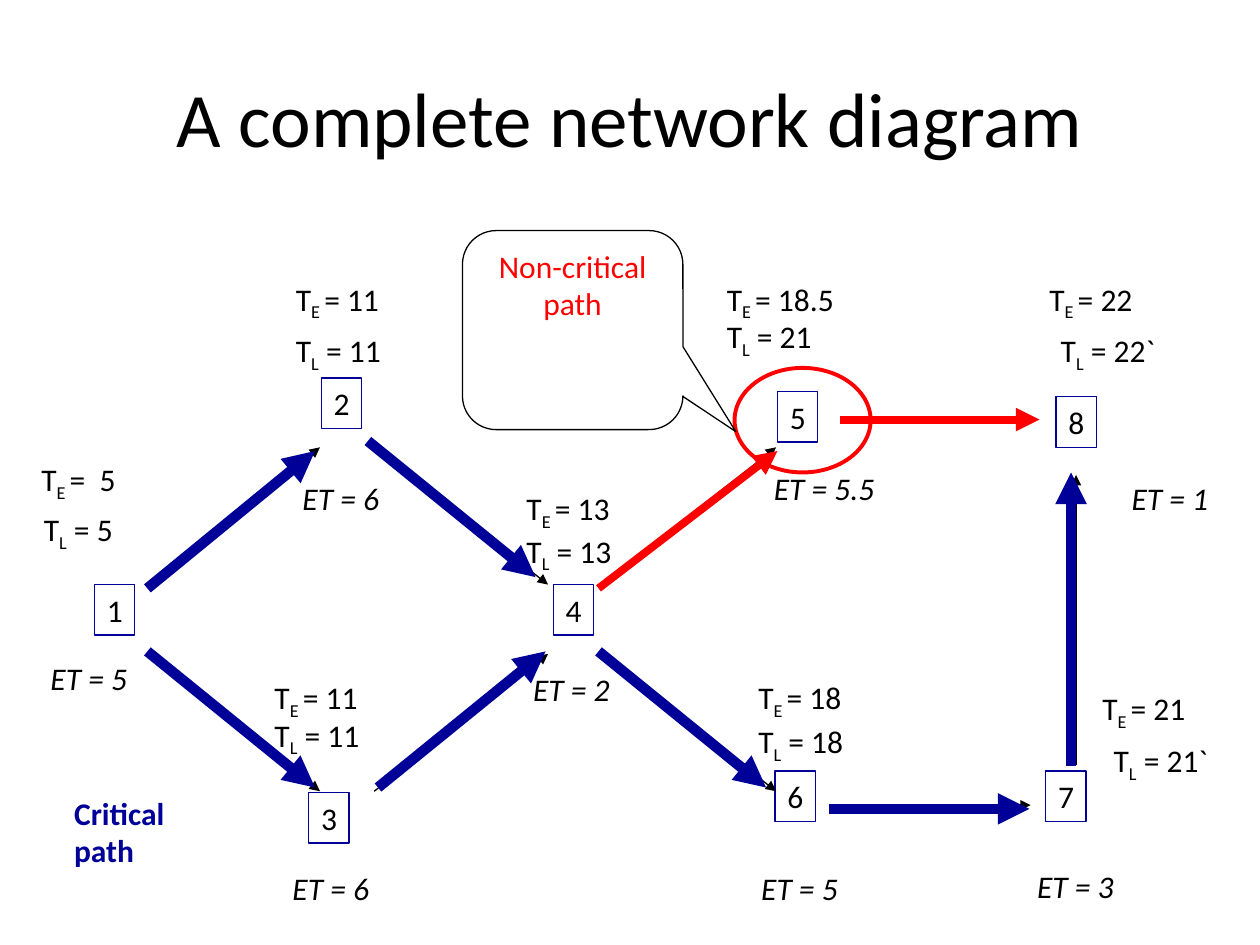
from dataclasses import dataclass

from lxml import etree
from pptx import Presentation
from pptx.dml.color import RGBColor
from pptx.enum import shapes, text
from pptx.oxml.ns import qn
from pptx.util import Inches, Pt

COLORS = {"ink": "000000", "critical": "000099", "other": "FF0000", "paper": "FFFFFF"}
FONT = "Calibri"


@dataclass
class Label:
    value: str
    left: float
    top: float
    width: float
    height: float = 0.44
    wrap: bool = True


@dataclass
class Node:
    number: int
    left: float
    top: float
    effort: Label
    earliest: Label
    latest: Label


@dataclass
class Arrow:
    start: tuple[float, float]
    end: tuple[float, float]


def effort(value: str, left: float, top: float, width: float = 0.81) -> Label:
    return Label(value, left, top, width, 0.4, False)


NODES = [
    Node(1, 0.75, 4.64, effort("5", 0.3, 5.18),
         Label("=  5", 0.23, 3.6, 1.02), Label(" = 5", 0.25, 4, 1)),
    Node(2, 2.55, 3, effort("6", 2.3, 3.75),
         Label("= 11", 2.25, 2.17, 1.35), Label(" = 11", 2.25, 2.58, 1.75)),
    Node(3, 2.45, 6.29, effort("6", 2.22, 6.85),
         Label("= 11", 2.08, 5.33, 1.35), Label(" = 11", 2.08, 5.63, 1.17)),
    Node(4, 4.39, 4.64, effort("2", 4.13, 5.27),
         Label("= 13", 4.08, 3.83, 1.93), Label(" = 13", 4.08, 4.17, 1.33, 0.74)),
    Node(5, 6.17, 3.11, effort("5.5", 6.04, 3.67, 1),
         Label("= 18.5", 5.67, 2.17, 1.35), Label(" = 21", 5.67, 2.47, 1.5)),
    Node(6, 6.15, 6.12, effort("5", 5.94, 6.85),
         Label("= 18", 5.92, 5.33, 1.25), Label(" = 18", 5.92, 5.68, 1.83)),
    Node(7, 8.3, 6.12, effort("3", 8.13, 6.83),
         Label("= 21", 8.65, 5.42, 1.35), Label(" = 21`", 8.74, 5.83, 1.05)),
    Node(8, 8.38, 3.15, effort("1", 8.88, 3.75),
         Label("= 22", 8.23, 2.17, 1.35), Label(" = 22`", 8.32, 2.58, 1.05)),
]

LINKS = [
    Arrow((1.16, 4.64), (2.54, 3.55)), Arrow((1.16, 5.19), (2.54, 6.28)),
    Arrow((2.97, 6.28), (4.35, 5.19)), Arrow((2.97, 3.55), (4.35, 4.64)),
    Arrow((4.77, 4.64), (6.16, 3.55)), Arrow((4.77, 5.19), (6.16, 6.28)),
    Arrow((6.58, 6.39), (8.18, 6.39)), Arrow((6.73, 3.33), (8.23, 3.33)),
    Arrow((8.54, 6.07), (8.54, 3.77)),
]
NON_CRITICAL = [Arrow((4.75, 4.67), (6.17, 3.58)), Arrow((6.67, 3.33), (8.25, 3.33))]
CRITICAL = [
    Arrow((1.17, 4.67), (2.5, 3.58)), Arrow((3, 6.25), (4.33, 5.17)),
    Arrow((1.17, 5.17), (2.5, 6.25)), Arrow((2.92, 3.5), (4.25, 4.58)),
    Arrow((4.75, 5.17), (6.08, 6.25)), Arrow((6.58, 6.42), (8.17, 6.42)),
    Arrow((8.5, 6.08), (8.5, 3.75)),
]


def rgb(name: str) -> RGBColor:
    return RGBColor.from_string(COLORS[name])


def format_text(shape, size: float = 18, color: str = "ink", bold: bool = False,
                italic: bool = False, align=text.PP_ALIGN.LEFT) -> None:
    for para in shape.text_frame.paragraphs:
        para.alignment = align
        for span in para.runs:
            span.font.name = FONT
            span.font.size = Pt(size)
            span.font.bold = bold
            span.font.italic = italic
            span.font.color.rgb = rgb(color)


def fit_frame(shape, wrap: bool) -> None:
    frame = shape.text_frame
    frame.word_wrap = wrap
    frame.auto_size = text.MSO_AUTO_SIZE.SHAPE_TO_FIT_TEXT
    frame.vertical_anchor = text.MSO_ANCHOR.TOP


def add_box(page, label: Label):
    box = page.shapes.add_textbox(Inches(label.left), Inches(label.top),
                                  Inches(label.width), Inches(label.height))
    fit_frame(box, label.wrap)
    return box


def add_time(page, label: Label, subscript: str) -> None:
    box = add_box(page, label)
    para = box.text_frame.paragraphs[0]
    for words in ("T", subscript, label.value):
        para.add_run().text = words
    format_text(box)
    para.runs[1].font._element.set("baseline", "-25000")


def add_effort(page, label: Label) -> None:
    box = add_box(page, label)
    box.text_frame.text = f"ET = {label.value}"
    format_text(box, italic=True, align=text.PP_ALIGN.CENTER)


def add_outline(page, kind, left: float, top: float, width: float, height: float,
                color: str, weight: float):
    shape = page.shapes.add_shape(kind, Inches(left), Inches(top),
                                  Inches(width), Inches(height))
    shape.shadow.inherit = False
    shape.fill.background()
    shape.line.color.rgb = rgb(color)
    shape.line.width = Pt(weight)
    return shape


def add_node(page, node: Node) -> None:
    box = add_outline(page, shapes.MSO_SHAPE.RECTANGLE, node.left, node.top,
                      0.32, 0.4, "critical", 0.75)
    box.text_frame.text = str(node.number)
    fit_frame(box, False)
    format_text(box)


def add_arrow(page, arrow: Arrow, color: str, weight: float) -> None:
    points = [Inches(value) for value in arrow.start + arrow.end]
    line = page.shapes.add_connector(shapes.MSO_CONNECTOR.STRAIGHT, *points)
    line.line.color.rgb = rgb(color)
    line.line.width = Pt(weight)
    etree.SubElement(line.line._get_or_add_ln(), qn("a:tailEnd"), type="triangle")
    etree.SubElement(line._element.spPr, qn("a:effectLst"))


def main() -> None:
    deck = Presentation()
    deck.slide_width, deck.slide_height = Inches(10), Inches(7.5)
    page = deck.slides.add_slide(deck.slide_layouts[5])

    # Title
    title = page.shapes.title
    title.left, title.top = Inches(0.5), Inches(0.3)
    title.width, title.height = Inches(9), Inches(1.25)
    title.text_frame.text = "A complete network diagram"
    title.text_frame.vertical_anchor = text.MSO_ANCHOR.MIDDLE
    format_text(title, size=44, align=text.PP_ALIGN.CENTER)

    # Network: activities, links and times
    for node in NODES:
        add_effort(page, node.effort)
        add_node(page, node)
    for arrow in LINKS:
        add_arrow(page, arrow, "ink", 0.75)
    for node in NODES:
        add_time(page, node.earliest, "E ")
        add_time(page, node.latest, "L")

    # Non-critical path with its callout
    add_outline(page, shapes.MSO_SHAPE.OVAL, 5.83, 2.92, 1.08, 0.83, "other", 2.25)
    callout = add_outline(page, shapes.MSO_SHAPE.ROUNDED_RECTANGULAR_CALLOUT,
                          3.67, 1.83, 1.75, 1.58, "ink", 0.75)
    for index, value in enumerate((0.74, 0.51, 0.17)):
        callout.adjustments[index] = value
    callout.fill.solid()
    callout.fill.fore_color.rgb = rgb("paper")
    callout.text_frame.text = "Non-critical path"
    callout.text_frame.word_wrap = True
    callout.text_frame.vertical_anchor = text.MSO_ANCHOR.TOP
    format_text(callout, color="other", align=text.PP_ALIGN.CENTER)
    for arrow in NON_CRITICAL:
        add_arrow(page, arrow, "other", 4.5)

    # Critical path
    for arrow in CRITICAL:
        add_arrow(page, arrow, "critical", 6)
    label = Label("Critical\npath", 0.49, 6.25, 0.97, 0.7, False)
    caption = add_box(page, label)
    caption.text_frame.text = label.value
    format_text(caption, color="critical", bold=True)

    deck.save("out.pptx")


if __name__ == "__main__":
    main()
